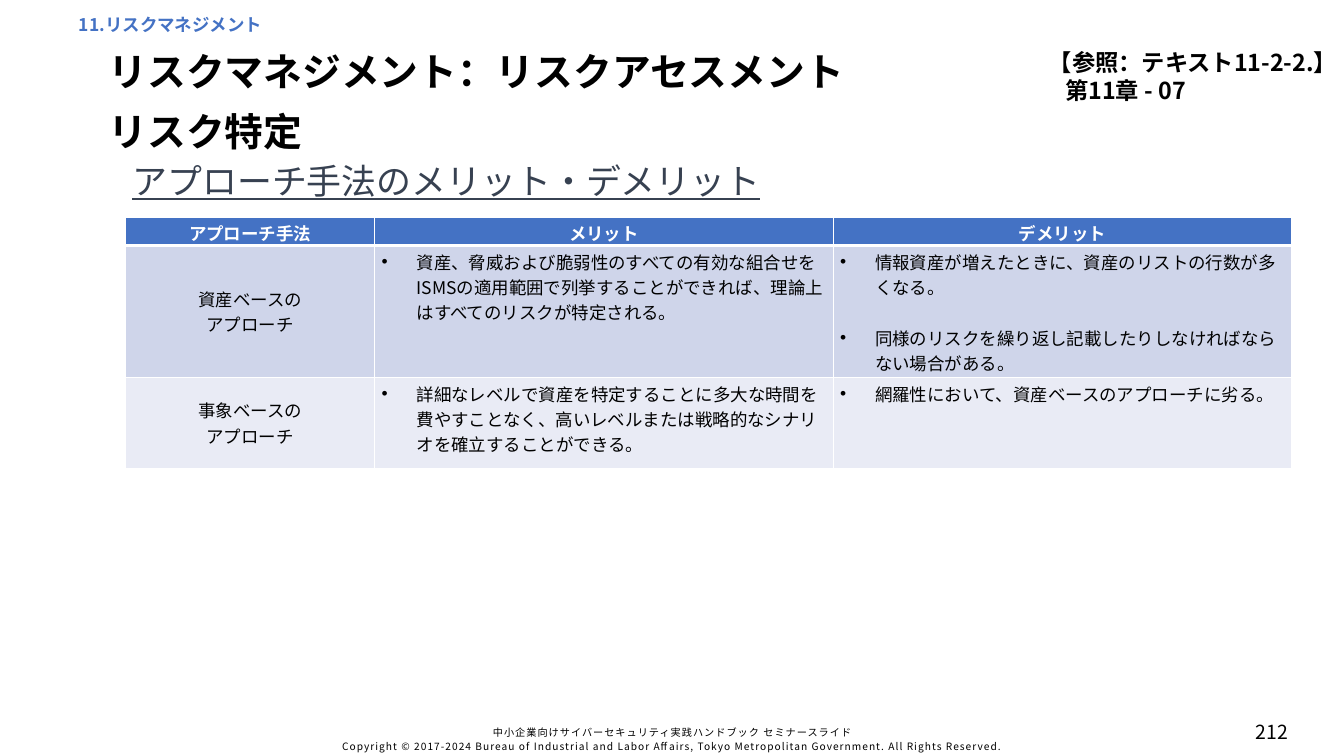
from dataclasses import dataclass

from lxml import etree
from pptx import Presentation
from pptx.dml.color import RGBColor
from pptx.enum.text import MSO_ANCHOR, PP_ALIGN
from pptx.oxml.ns import qn
from pptx.util import Inches, Pt

LEFT, CENTER, RIGHT = PP_ALIGN.LEFT, PP_ALIGN.CENTER, PP_ALIGN.RIGHT
TOP, MIDDLE = MSO_ANCHOR.TOP, MSO_ANCHOR.MIDDLE


@dataclass(frozen=True)
class Theme:
    font: str = "Noto Sans CJK JP"
    black: str = "000000"
    white: str = "FFFFFF"
    blue: str = "4472C4"
    slate: str = "374151"
    bands: tuple = ("CFD5EA", "E9EBF5")
    title: float = 40
    subtitle: float = 36
    reference: float = 24
    page: float = 20
    body: float = 18
    footer: float = 10.5


THEME = Theme()

HEADERS = ["アプローチ手法", "メリット", "デメリット"]
APPROACHES = [
    (["資産ベースの", "アプローチ"],
     ["資産、脅威および脆弱性のすべての有効な組合せをISMSの適用範囲で列挙することができれば、"
      "理論上はすべてのリスクが特定される。"],
     ["情報資産が増えたときに、資産のリストの行数が多くなる。",
      "同様のリスクを繰り返し記載したりしなければならない場合がある。"]),
    (["事象ベースの", "アプローチ"],
     ["詳細なレベルで資産を特定することに多大な時間を費やすことなく、"
      "高いレベルまたは戦略的なシナリオを確立することができる。"],
     ["網羅性において、資産ベースのアプローチに劣る。"]),
]
COLUMN_WIDTHS = [3.57, 6.57, 6.57]
ROW_HEIGHTS = [0.41, 1.89, 1.3]


def style_paragraph(paragraph, size, color=THEME.black, bold=False,
                    align=LEFT, underline=False, tracking=None):
    paragraph.alignment = align
    font = paragraph.font
    font.name, font.size, font.bold = THEME.font, Pt(size), bold
    font.color.rgb = RGBColor.from_string(color)
    if underline:
        font.underline = True
    # East Asian typeface and letter spacing
    properties = paragraph._p.pPr.find(qn("a:defRPr"))
    east_asian = etree.Element(qn("a:ea"), typeface=THEME.font)
    properties.find(qn("a:latin")).addnext(east_asian)
    if tracking:
        properties.set("spc", str(round(tracking * 100)))


def write_lines(frame, lines):
    for index, line in enumerate(lines):
        paragraph = frame.paragraphs[0] if index == 0 else frame.add_paragraph()
        paragraph.text = line
    return frame.paragraphs


def add_text(slide, box, lines, size, anchor=TOP, line_spacing=None, **style):
    shape = slide.shapes.add_textbox(*map(Inches, box))
    frame = shape.text_frame
    frame.word_wrap = True
    frame.vertical_anchor = anchor
    for paragraph in write_lines(frame, lines):
        if line_spacing:
            paragraph.line_spacing = line_spacing
        style_paragraph(paragraph, size, **style)
    return shape


def add_bullet(paragraph):
    properties = paragraph._p.get_or_add_pPr()
    properties.set("marL", str(Inches(0.5)))
    properties.set("indent", str(-Inches(0.5)))
    etree.SubElement(properties, qn("a:buFont"), typeface="Arial")
    etree.SubElement(properties, qn("a:buChar"), char="•")


def paint_cell(cell, color, bottom_width=1):
    cell.fill.solid()
    cell.fill.fore_color.rgb = RGBColor.from_string(color)
    properties = cell._tc.get_or_add_tcPr()
    widths = {"lnL": 1, "lnR": 1, "lnT": 1, "lnB": bottom_width}
    for index, (side, width) in enumerate(widths.items()):
        border = etree.Element(qn(f"a:{side}"), w=str(Pt(width)))
        fill = etree.SubElement(border, qn("a:solidFill"))
        etree.SubElement(fill, qn("a:srgbClr"), val=THEME.white)
        properties.insert(index, border)


def fill_header(cell, text):
    paint_cell(cell, THEME.blue, bottom_width=3)
    cell.margin_bottom = 0
    paragraph, = write_lines(cell.text_frame, [text])
    style_paragraph(paragraph, THEME.body, THEME.white, bold=True, align=CENTER)


def fill_approach(cell, lines, color):
    paint_cell(cell, color)
    cell.vertical_anchor = MIDDLE
    for paragraph in write_lines(cell.text_frame, lines):
        style_paragraph(paragraph, THEME.body, align=CENTER)


def fill_points(cell, points, color):
    paint_cell(cell, color)
    cell.margin_bottom = 0
    for index, paragraph in enumerate(write_lines(cell.text_frame, points)):
        if index:
            paragraph.space_before = Pt(26)
        add_bullet(paragraph)
        style_paragraph(paragraph, THEME.body)


def add_comparison(slide):
    frame = slide.shapes.add_table(
        len(ROW_HEIGHTS), len(COLUMN_WIDTHS), Inches(1.8), Inches(3.11),
        Inches(sum(COLUMN_WIDTHS)), Inches(sum(ROW_HEIGHTS)))
    table = frame.table
    for column, width in zip(table.columns, COLUMN_WIDTHS):
        column.width = Inches(width)
    for row, height in zip(table.rows, ROW_HEIGHTS):
        row.height = Inches(height)
    for column, header in enumerate(HEADERS):
        fill_header(table.cell(0, column), header)
    for row, (content, color) in enumerate(zip(APPROACHES, THEME.bands), start=1):
        name, *point_lists = content
        fill_approach(table.cell(row, 0), name, color)
        for column, points in enumerate(point_lists, start=1):
            fill_points(table.cell(row, column), points, color)


def main():
    presentation = Presentation()
    presentation.slide_width = Inches(19.26)
    presentation.slide_height = Inches(10.83)
    slide = presentation.slides.add_slide(presentation.slide_layouts[6])

    # Chapter label and two-line title
    chapter = add_text(slide, (1.12, 0.28, 17.48, 0.25), ["11.リスクマネジメント"],
                       THEME.body, line_spacing=Pt(15), color=THEME.blue, bold=True)
    frame = chapter.text_frame
    frame.margin_left = frame.margin_top = Inches(0.01)
    frame.margin_right = frame.margin_bottom = 0
    titles = ["リスクマネジメント：リスクアセスメント", "リスク特定"]
    for top, title in zip((0.76, 1.61), titles):
        add_text(slide, (1.46, top, 16.34, 0.61), [title], THEME.title,
                 anchor=MIDDLE, line_spacing=0.9, bold=True)

    # Textbook reference
    reference = add_text(slide, (13, 0.64, 6.26, 0.91),
                         ["【参照：テキスト11-2-2.】", "第11章 - 07"],
                         THEME.reference, bold=True, align=RIGHT)
    reference.text_frame.paragraphs[1].alignment = CENTER

    # Subtitle and comparison table
    add_text(slide, (1.8, 2.23, 16.9, 0.71), ["アプローチ手法のメリット・デメリット"],
             THEME.subtitle, color=THEME.slate, underline=True)
    add_comparison(slide)

    # Footer and page number
    add_text(slide, (3.74, 10.33, 11.79, 0.51),
             ["中小企業向けサイバーセキュリティ実践ハンドブック セミナースライド",
              "Copyright © 2017-2024 Bureau of Industrial and Labor Affairs, "
              "Tokyo Metropolitan Government. All Rights Reserved."],
             THEME.footer, anchor=MIDDLE, line_spacing=1.1, align=CENTER, tracking=1.1)
    add_text(slide, (17.38, 10.29, 1.69, 0.38), ["212"], THEME.page,
             anchor=MIDDLE, align=CENTER)

    presentation.save("out.pptx")


if __name__ == "__main__":
    main()
